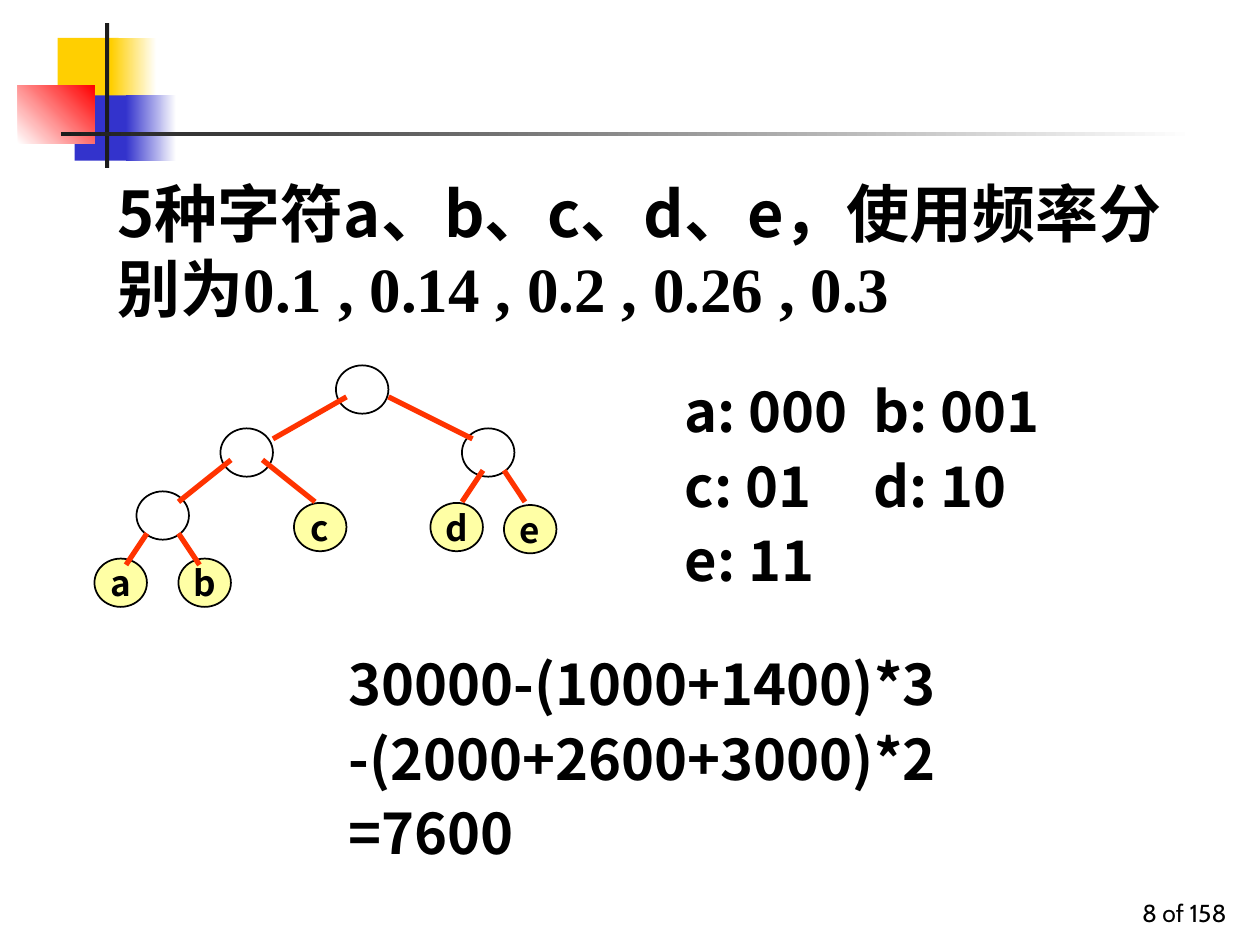
from lxml import etree
from pptx import Presentation, util as u
from pptx.dml.color import RGBColor
from pptx.enum import shapes, text
from pptx.oxml.ns import qn

BLACK = RGBColor(0x00, 0x00, 0x00)
WHITE = RGBColor(0xFF, 0xFF, 0xFF)
GOLD = RGBColor(0xFF, 0xCF, 0x01)
BLUE = RGBColor(0x33, 0x33, 0xCC)
RED = RGBColor(0xFF, 0x00, 0x00)
CHARCOAL = RGBColor(0x1C, 0x1C, 0x1C)
LEAF_YELLOW = RGBColor(0xFF, 0xFF, 0xA5)
EDGE_ORANGE = RGBColor(0xFF, 0x33, 0x00)

CJK, SERIF, FOOTER = "Noto Sans CJK SC", "Times New Roman", "Cabin"
COLUMNS, ROWS = 120, 90
NODE_SIZE = 5, 4.6


class TreeSlide:
    def __init__(self, deck):
        self.width, self.height = deck.slide_width, deck.slide_height
        self.slide = deck.slides.add_slide(deck.slide_layouts[1])

    def x(self, columns):
        return round(self.width * columns / COLUMNS)

    def y(self, rows):
        return round(self.height * rows / ROWS)

    def box(self, left, top, width, height):
        return self.x(left), self.y(top), self.x(width), self.y(height)

    def set_font(self, font, face=None, size=None, bold=None):
        if size:
            font.size, font.bold, font.color.rgb = u.Pt(size), bold, BLACK
        if face:
            font.name = face
            etree.SubElement(font._element if hasattr(font, "_element") else font._rPr,
                             qn("a:ea"), typeface=face)

    def place(self, holder, area):
        holder.left, holder.top, holder.width, holder.height = self.box(*area)
        frame = holder.text_frame
        frame.word_wrap = True
        frame.auto_size = text.MSO_AUTO_SIZE.NONE
        frame.vertical_anchor = text.MSO_ANCHOR.TOP
        return frame

    def title(self, area, runs, size):
        sentence = self.place(self.slide.shapes.title, area).paragraphs[0]
        sentence.alignment = text.PP_ALIGN.LEFT
        self.set_font(sentence.font, size=size, bold=True)
        for words, face in runs:
            run = sentence.add_run()
            run.text = words
            self.set_font(run.font, face)

    def lines(self, holder, area, rows, size=32, face=CJK, bold=True,
              align=text.PP_ALIGN.LEFT):
        frame = self.place(holder, area)
        for index, (words, tab) in enumerate(rows):
            line = frame.add_paragraph() if index else frame.paragraphs[0]
            line.text = words
            line.alignment = align
            line.space_before = u.Pt(4 if index else 0)
            properties = line._p.get_or_add_pPr()
            properties.set("marL", "0")
            properties.set("indent", "0")
            etree.SubElement(properties, qn("a:buNone"))
            if tab:
                tabs = etree.SubElement(properties, qn("a:tabLst"))
                etree.SubElement(tabs, qn("a:tab"), pos=str(self.x(tab)), algn="l")
            self.set_font(line.font, face, size, bold)

    def body(self, area, rows):
        self.lines(self.slide.placeholders[1], area, rows)

    def note(self, area, rows, **style):
        self.lines(self.slide.shapes.add_textbox(*self.box(*area)), area, rows, **style)

    def block(self, area, start, end=None, angle=0):
        block = self.slide.shapes.add_shape(shapes.MSO_SHAPE.RECTANGLE, *self.box(*area))
        block.shadow.inherit = False
        block.line.fill.background()
        if end is None:
            block.fill.solid()
            block.fill.fore_color.rgb = start
            return
        block.fill.gradient()
        block.fill.gradient_angle = angle
        for stop, color, position in zip(block.fill.gradient_stops, (start, end), (0, 1)):
            stop.color.rgb, stop.position = color, position

    def node(self, column, row, label=""):
        node = self.slide.shapes.add_shape(
            shapes.MSO_SHAPE.OVAL, *self.box(column, row, *NODE_SIZE))
        node.shadow.inherit = False
        node.fill.solid()
        node.fill.fore_color.rgb = LEAF_YELLOW if label else WHITE
        node.line.color.rgb, node.line.width = BLACK, u.Pt(1)
        if label:
            frame = node.text_frame
            frame.word_wrap = False
            frame.margin_left = frame.margin_right = 0
            frame.margin_top = frame.margin_bottom = 0
            letter = frame.paragraphs[0]
            letter.text = label
            letter.alignment = text.PP_ALIGN.CENTER
            self.set_font(letter.font, CJK, 20, True)

    def edge(self, parent, child):
        edge = self.slide.shapes.add_connector(
            shapes.MSO_CONNECTOR.STRAIGHT, self.x(parent[0]), self.y(parent[1]),
            self.x(child[0]), self.y(child[1]))
        edge.line.color.rgb, edge.line.width = EDGE_ORANGE, u.Pt(3)
        etree.SubElement(edge._element.spPr, qn("a:effectLst"))


def main():
    deck = Presentation()
    deck.slide_width, deck.slide_height = u.Inches(10), u.Inches(7.5)
    page = TreeSlide(deck)

    for ornament in (
        ((5.5, 3.6, 5.8, 6.2), GOLD),
        ((10.6, 3.6, 4.3, 6.2), GOLD, WHITE),
        ((7.1, 9.1, 5.5, 6.2), BLUE),
        ((12, 9.1, 4.8, 6.2), BLUE, WHITE),
        ((1.7, 8.1, 7.3, 5.6), WHITE, RED, 45),
        ((10, 2.2, 0.4, 13.8), CHARCOAL),
        ((5.8, 12.6, 108, 0.4), CHARCOAL, WHITE),
    ):
        page.block(*ornament)

    page.title((10, 16, 107, 15.6),
               [("5种字符a、b、c、d、e，使用频率分别为", CJK),
                ("0.1 , 0.14 , 0.2 , 0.26 , 0.3", SERIF)], 36)

    for leaf in ((9, 53.2, "a"), (28, 47.9, "c"), (17, 53.2, "b"),
                 (41, 47.9, "d"), (48, 48.1, "e")):
        page.node(*leaf)
    for branch in ((13, 46.8), (44, 40.8), (21, 40.8), (32, 34.8)):
        page.node(*branch)
    for parent, child in (
        ((33, 37.8), (26, 41.8)), ((37, 37.8), (45, 41.8)),
        ((22, 43.8), (17, 47.8)), ((25, 43.8), (30, 47.8)),
        ((14, 50.8), (12, 53.8)), ((17, 50.8), (19, 53.8)),
        ((46, 44.8), (44, 47.8)), ((48, 44.8), (50, 47.8)),
    ):
        page.edge(parent, child)

    page.body((64, 35.3, 53, 28.2),
              [("a: 000\tb: 001", 20.4), ("c: 01\td: 10", 18.1), ("e: 11", None)])
    page.note((32, 61.3, 75, 21.7),
              [("30000-(1000+1400)*3", None), ("-(2000+2600+3000)*2", None),
               ("=7600", None)])
    page.note((93, 84.9, 25, 4), [("8 of 158", None)], size=14, face=FOOTER,
              bold=False, align=text.PP_ALIGN.RIGHT)

    deck.save("out.pptx")


if __name__ == "__main__":
    main()
